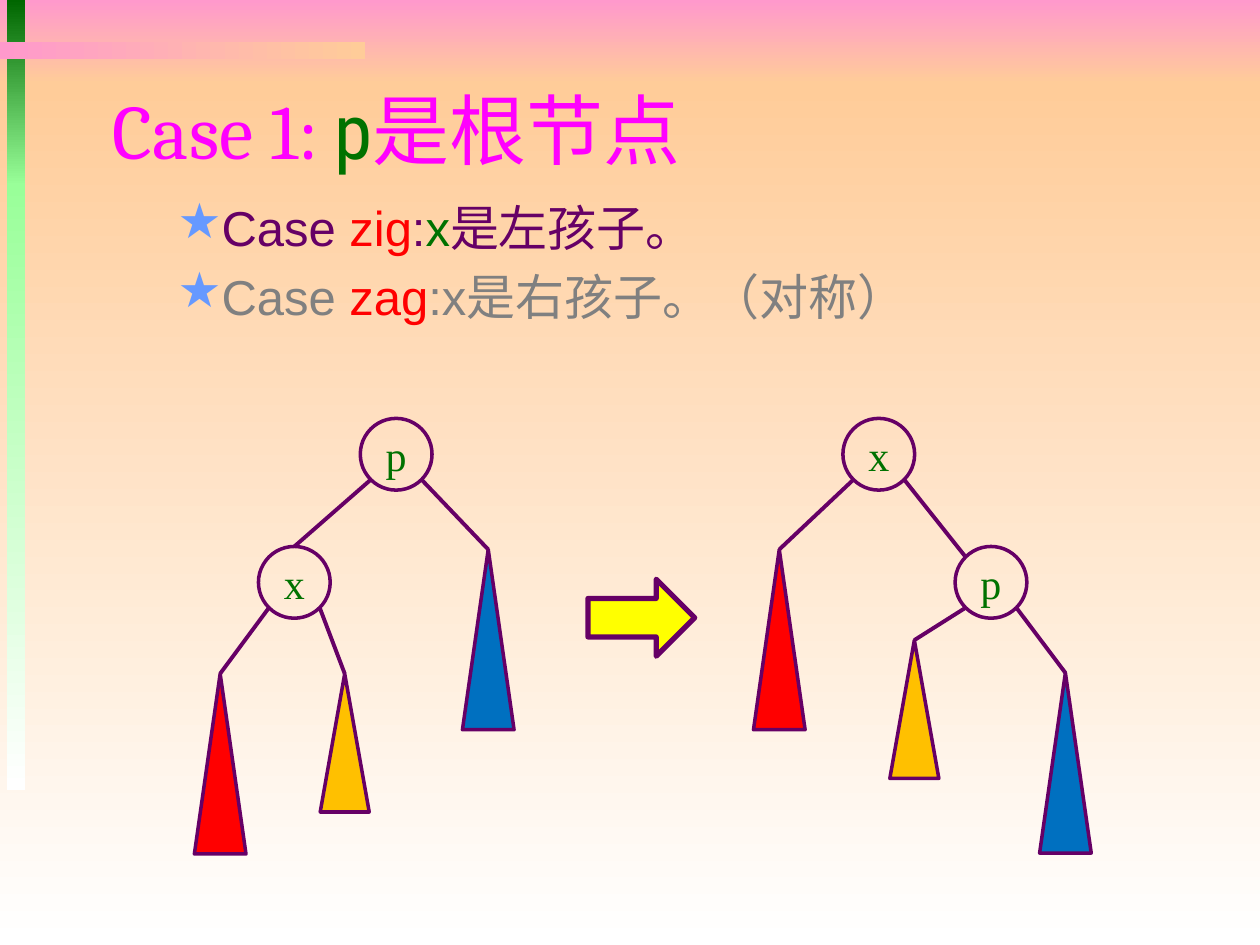
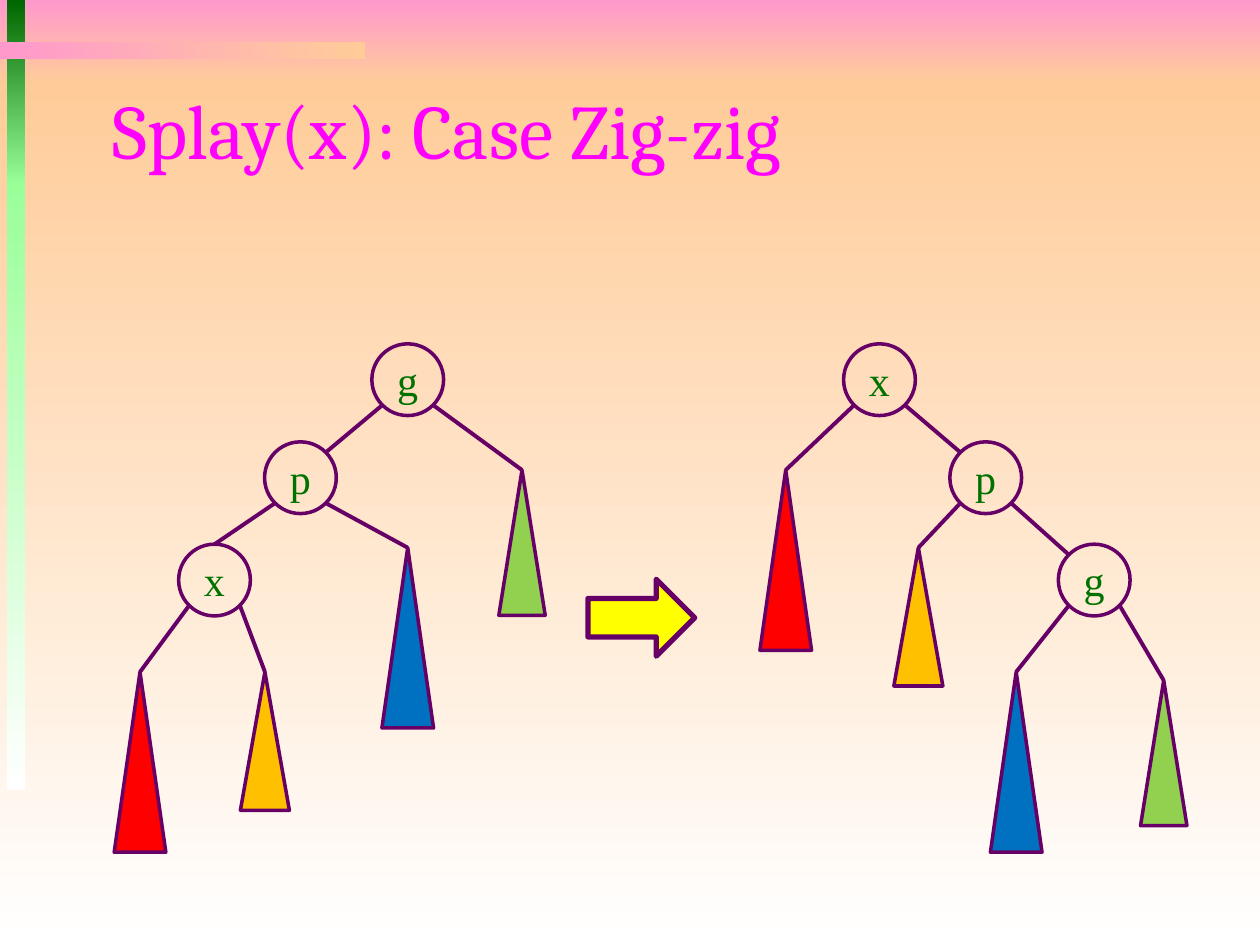
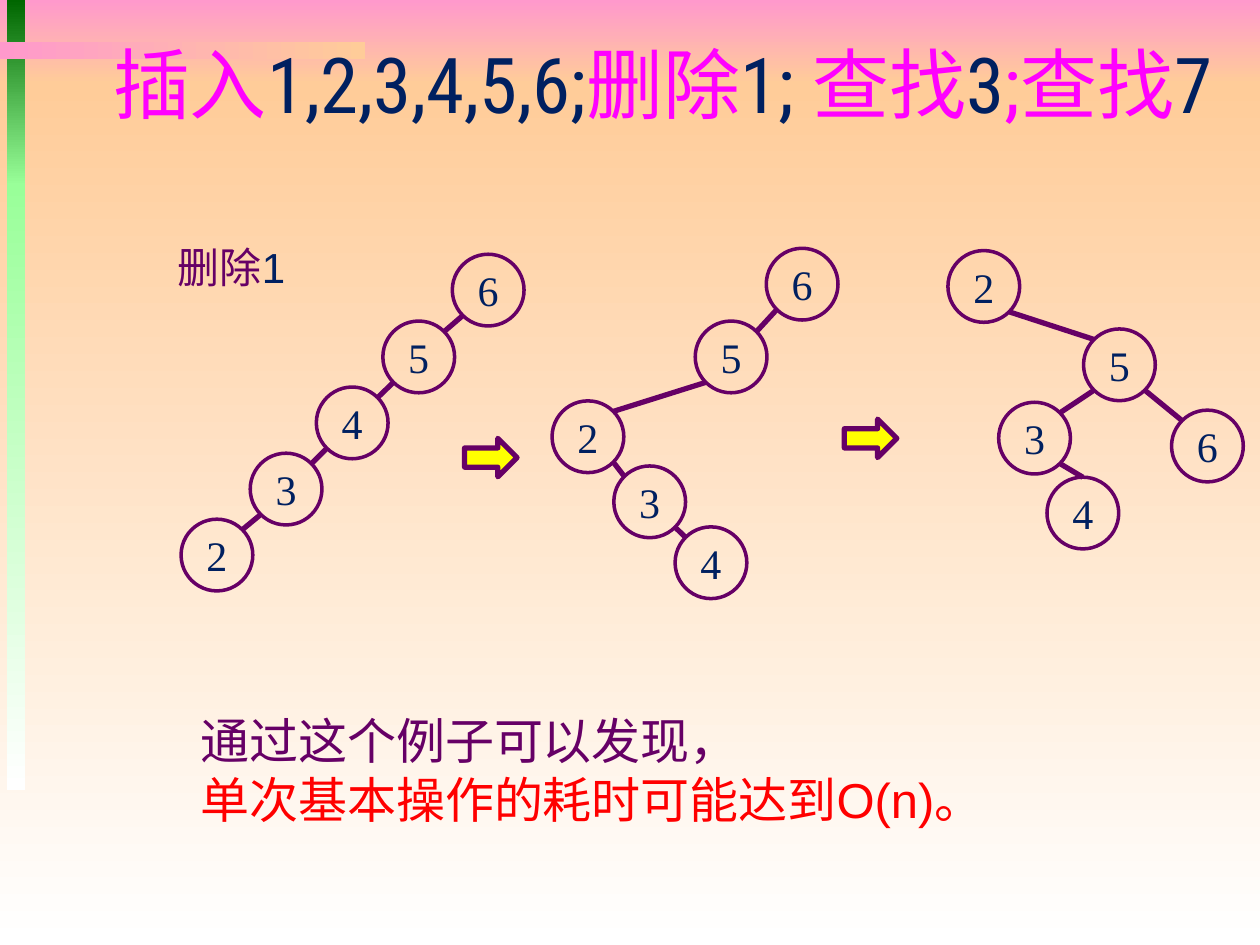
"""Build three slides on splay tree rotations, each showing trees before and after."""
from dataclasses import dataclass
from typing import NamedTuple

from lxml.etree import SubElement
from pptx import Presentation
from pptx.dml.color import RGBColor
from pptx.enum.shapes import MSO_CONNECTOR as Link, MSO_SHAPE as Preset
from pptx.enum.text import MSO_ANCHOR as Anchor, PP_ALIGN as Align
from pptx.oxml.ns import qn
from pptx.util import Pt


@dataclass(frozen=True)
class Theme:
    plum: str = "660066"
    magenta: str = "FF00FF"
    green: str = "007200"
    navy: str = "002060"
    red: str = "FF0000"
    grey: str = "808080"
    yellow: str = "FFFF00"
    star: str = "6699FF"
    pink: str = "FF99CC"
    peach: str = "FFCC99"
    forest: str = "006600"
    mint: str = "99FF99"
    white: str = "FFFFFF"
    heading: str = "Cambria"
    condensed: str = "Roboto Condensed"
    body: str = "Arial"
    label: str = "Times New Roman"
    title_size: int = 44
    body_size: int = 28
    label_size: int = 24
    outline: float = 2
    arrow_outline: float = 3


class Node(NamedTuple):
    """A tree node by its centre, or a subtree by its tip; hung means joined at the top."""
    label: str
    x: float
    y: float
    children: tuple = ()
    hung: bool = False


T = Theme()
RADIUS, DIAGONAL = 20.5, 14.5
SUBTREES = {"A": (T.red, 29.5, 103), "B": ("FFC000", 28, 79),
            "C": ("0070C0", 29.5, 103), "D": ("92D050", 26.5, 83)}

BACKDROP = [
    ((0, 0, 720, 48), T.pink, T.peach, 270),
    ((0, 48, 720, 492), T.peach, T.white, 270),
    ((4, 0, 10.5, 106), T.forest, T.mint, 270),
    ((4, 105, 10.5, 346.5), T.mint, T.white, 270),
    ((0, 24, 208.5, 10), T.pink, T.peach, 0),
]
BIG_ARROW = (336, 331, 61, 44)

ZIG = {
    "title": [("Case 1: ", T.magenta), ("p", T.green, T.condensed), ("是根节点", T.magenta, T.condensed)],
    "bullets": [
        [("Case ", T.plum), ("zig", T.red), (":", T.plum), ("x", T.green), ("是左孩子。", T.plum)],
        [("Case ", T.grey), ("zag", T.red), (":x是右孩子。（对称）", T.grey)],
    ],
    "trees": [
        Node("p", 226.4, 259.6, (
            Node("x", 168.2, 332.8, (Node("A", 125.8, 385), Node("B", 197, 385)), hung=True),
            Node("C", 279, 314))),
        Node("x", 502.2, 259.6, (
            Node("A", 445.3, 314),
            Node("p", 566.3, 332.8, (Node("B", 522.5, 365.8), Node("C", 608.8, 384.5))))),
    ],
    "arrows": [BIG_ARROW],
}
ZIG_ZIG = {
    "title": [("Splay(x): Case Zig-zig", T.magenta)],
    "trees": [
        Node("g", 233, 217, (
            Node("p", 171.7, 273, (
                Node("x", 122.6, 331.5, (Node("A", 80, 384), Node("B", 151.4, 384)), hung=True),
                Node("C", 233, 313))),
            Node("D", 298.3, 268.6))),
        Node("x", 502.6, 217, (
            Node("A", 449, 268.6),
            Node("p", 563.3, 273, (
                Node("B", 524.8, 313),
                Node("g", 625.3, 331.5, (Node("C", 580.7, 384), Node("D", 665, 388.8))))))),
    ],
    "arrows": [BIG_ARROW],
}
DELETION = {
    "title": [("插入", T.magenta), ("1,2,3,4,5,6;", T.navy), ("删除", T.magenta), ("1;", T.navy),
              (" 查找", T.magenta), ("3", T.navy), (";查找", T.magenta), ("7", T.navy)],
    "step": [("删除", T.plum), ("1", T.navy)],
    "finding": [[("通过这个例子可以发现，", T.plum)],
                [("单次基本操作的耗时可能达到O(n)。", T.red)]],
    "trees": [
        Node("6", 279, 165.8, (Node("5", 239.3, 204, (Node("4", 201.3, 241.7, (
            Node("3", 163.5, 279.5, (Node("2", 124, 317.2),)),)),)),)),
        Node("6", 458.4, 162.4, (Node("5", 417.8, 204, (Node("2", 336, 249.6, (
            Node("3", 371.3, 286.8, (Node("4", 406.3, 321.6),)),)),)),)),
        Node("2", 562.2, 163.7, (Node("5", 639.7, 208.5, (
            Node("3", 591.2, 250.4, (Node("4", 618.8, 293.2, hung=True),)),
            Node("6", 690, 254.9))),)),
    ],
    "arrows": [(265.5, 250.5, 30, 22), (482.5, 239.5, 30, 22)],
}


def colour(hex_code):
    return RGBColor.from_string(hex_code)


def add_outlined(shapes, preset, box, fill=None, outline=T.outline):
    shape = shapes.add_shape(preset, *map(Pt, box))
    shape.shadow.inherit = False
    if fill:
        shape.fill.solid()
        shape.fill.fore_color.rgb = colour(fill)
    else:
        shape.fill.background()
    shape.line.color.rgb = colour(T.plum)
    shape.line.width = Pt(outline)
    return shape


def style(run, size, face, ink):
    run.font.size = Pt(size)
    run.font.name = face
    run.font.color.rgb = colour(ink)


def add_text(slide, box, lines, size, face):
    frame = slide.shapes.add_textbox(*map(Pt, box)).text_frame
    frame.word_wrap = True
    for index, runs in enumerate(lines):
        paragraph = frame.add_paragraph() if index else frame.paragraphs[0]
        for text, ink, *own_face in runs:
            run = paragraph.add_run()
            run.text = text
            style(run, size, own_face[0] if own_face else face, ink)
    return frame


def add_bullets(slide, lines):
    frame = add_text(slide, (58.5, 109.5, 656.5, 92), lines, T.body_size, T.body)
    for index, paragraph in enumerate(frame.paragraphs):
        if index:
            paragraph.space_before = Pt(5.6)
        props = paragraph._p.get_or_add_pPr()
        props.set("marL", str(Pt(58.5)))
        props.set("indent", str(Pt(-22.5)))
        SubElement(SubElement(props, qn("a:buClr")), qn("a:srgbClr"), val=T.star)
        SubElement(props, qn("a:buChar"), char="★")


def add_backdrop(slide):
    for box, start, end, angle in BACKDROP:
        band = slide.shapes.add_shape(Preset.RECTANGLE, *map(Pt, box))
        band.shadow.inherit = False
        band.line.fill.background()
        band.fill.gradient()
        band.fill.gradient_angle = angle
        for stop, shade in zip(band.fill.gradient_stops, (start, end)):
            stop.color.rgb = colour(shade)


def add_node(shapes, node, ink):
    if node.label in SUBTREES:
        fill, width, height = SUBTREES[node.label]
        return add_outlined(shapes, Preset.ISOSCELES_TRIANGLE,
                            (node.x - width / 2, node.y, width, height), fill)
    circle = add_outlined(shapes, Preset.OVAL,
                          (node.x - RADIUS, node.y - RADIUS, 2 * RADIUS, 2 * RADIUS))
    frame = circle.text_frame
    frame.word_wrap = False
    frame.vertical_anchor = Anchor.MIDDLE
    frame.text = node.label
    frame.paragraphs[0].alignment = Align.CENTER
    style(frame.paragraphs[0].runs[0], T.label_size, T.label, ink)
    return circle


def add_edge(shapes, parent, child, child_shape, width):
    side = 1 if child.x > parent.x else -1
    start = parent.x + side * DIAGONAL, parent.y + DIAGONAL
    at_top = child.hung or child.label in SUBTREES
    end = child.x - side * DIAGONAL, child.y - DIAGONAL
    edge = shapes.add_connector(Link.STRAIGHT, *map(Pt, start + end))
    if at_top:
        edge.end_connect(child_shape, 0)
    edge.line.color.rgb = colour(T.plum)
    edge.line.width = Pt(width)
    SubElement(edge._element.spPr, qn("a:effectLst"))


def add_tree(shapes, node, ink, edge_width):
    node_shape = add_node(shapes, node, ink)
    for child in node.children:
        child_shape = add_tree(shapes, child, ink, edge_width)
        add_edge(shapes, node, child, child_shape, edge_width)
    return node_shape


def add_slide(deck, content, face=T.heading, title_width=612, ink=T.green, edge_width=2.25):
    slide = deck.slides.add_slide(deck.slide_layouts[6])
    add_backdrop(slide)
    title = add_text(slide, (57.5, 41, title_width, 65), [content["title"]], T.title_size, face)
    title.vertical_anchor = Anchor.MIDDLE
    for root in content["trees"]:
        add_tree(slide.shapes.add_group_shape().shapes, root, ink, edge_width)
    for box in content["arrows"]:
        add_outlined(slide.shapes, Preset.RIGHT_ARROW, box, T.yellow, T.arrow_outline)
    return slide, title


def main():
    deck = Presentation()
    deck.slide_width, deck.slide_height = Pt(720), Pt(540)

    zig, _ = add_slide(deck, ZIG)
    add_bullets(zig, ZIG["bullets"])

    add_slide(deck, ZIG_ZIG)

    deletion, title = add_slide(deck, DELETION, T.condensed, 649.5, T.navy, 3)
    title.margin_bottom = Pt(56)
    add_text(deletion, (94.5, 134.5, 93, 36), [DELETION["step"]], T.label_size, T.body)
    add_text(deletion, (107.5, 402.5, 467, 75), DELETION["finding"], T.body_size, T.body)

    deck.save("out.pptx")


if __name__ == "__main__":
    main()
